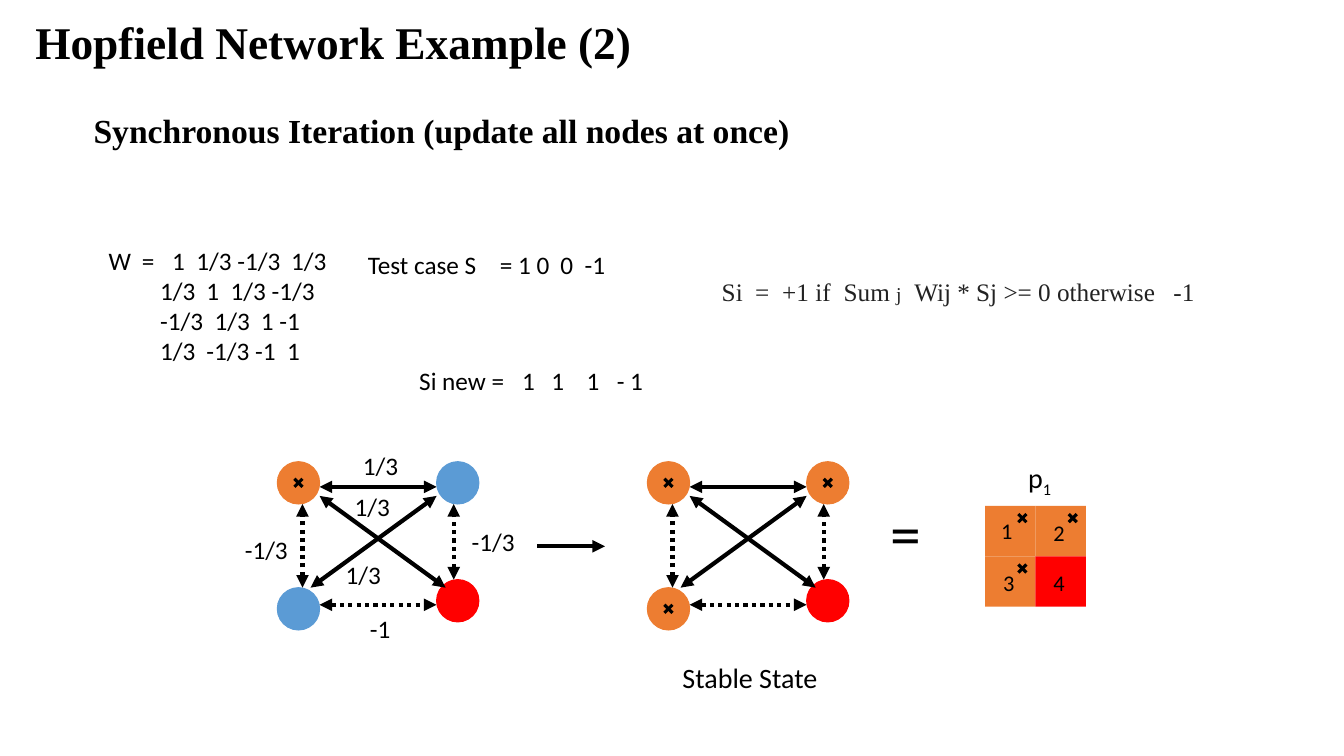
import pptx
import pptx.dml.color
import pptx.enum.dml
import pptx.enum.shapes
import pptx.enum.text
import pptx.oxml
import pptx.oxml.ns
import pptx.util
from pptx.util import Inches

COLORS = {"black": "000000", "formula": "222222", "orange": "ED7D31",
          "blue": "5B9BD5", "red": "FF0000"}
SERIF = "Times New Roman"
SANS = "Calibri"

TITLE = "Hopfield Network Example (2)"
SUBTITLE = "Synchronous Iteration (update all nodes at once)"

# Each tabbed line: text and the tab stops (inches) of its columns
WEIGHTS = [
    ("W\t=\t1\t1/3 -1/3\t1/3", [0.33, 0.63, 0.87, 1.81]),
    ("\t1/3\t1\t1/3 -1/3", [0.51, 0.97, 1.21]),
    ("\t-1/3\t1/3\t1 -1", [0.51, 1.05, 1.51]),
    ("\t1/3\t-1/3 -1\t1", [0.51, 0.97, 1.77]),
]
TEST_CASE = [("Test case S\t= 1 0\t0\t-1", [1.31, 1.91, 2.15])]
NEW_STATE = [("Si new =\t1\t1\t1\t- 1", [1.02, 1.31, 1.66, 1.96])]
UPDATE_RULE = [([("Si\t=\t+1 if\tSum ", {}), ("j", {"size": 14}),
                 ("\tWij * Sj >= 0 otherwise\t-1", {})],
                [0.33, 0.6, 1.21, 1.91, 4.48])]

# Offsets from the top left corner of a network
NODES = [(0, 0), (0, 1.25), (1.58, 1.17), (1.58, 0)]
EDGES = [  # start, end, dotted
    ((0.33, 1.25), (1.58, 0.34), False),
    ((0.42, 0.25), (1.58, 0.25), False),
    ((0.25, 1.25), (0.25, 0.42), True),
    ((0.42, 0.34), (1.67, 1.25), False),
    ((0.42, 1.42), (1.58, 1.42), True),
    ((1.75, 1.17), (1.75, 0.42), True),
]
NETWORK_TOP = 4.58
NETWORKS = [  # left, colours in the order of NODES
    (6.42, ["orange", "orange", "red", "orange"]),
    (2.75, ["orange", "blue", "red", "blue"]),
]
EDGE_LABELS = [("-1", 3.57, 6.04, 0.41), ("-1/3", 2.33, 5.25, 0.63),
               ("1/3", 3.33, 5.5, 0.56), ("1/3", 3.42, 4.83, 0.56),
               ("-1/3", 4.58, 5.17, 0.63), ("1/3", 3.5, 4.42, 0.56)]
NODE_SIZE = 0.42
CROSS_SIZE = 0.08

PATTERN_LEFT, PATTERN_TOP, CELL = 9.77, 5.02, 0.5
PATTERN = [("1", "orange", 0.06, 0.06), ("2", "orange", 0.08, 0.08),
           ("3", "orange", 0.08, 0.08), ("4", "red", 0.08, 0.08)]

presentation = pptx.Presentation()
presentation.slide_width = Inches(13.33)
presentation.slide_height = Inches(7.5)
slide = presentation.slides.add_slide(presentation.slide_layouts[5])


def rgb(name):
    return pptx.dml.color.RGBColor.from_string(COLORS[name])


def set_tabs(paragraph, stops):
    tabs = "".join(f'<a:tab pos="{Inches(stop)}" algn="l"/>' for stop in stops)
    namespace = pptx.oxml.ns.nsdecls("a")
    properties = paragraph._p.get_or_add_pPr()
    properties.append(pptx.oxml.parse_xml(f"<a:tabLst {namespace}>{tabs}</a:tabLst>"))


def write(frame, lines, size=18, font=SANS, color="black", bold=False, spacing=None):
    """Fill a frame with (text or runs, tab stops) lines."""
    for index, (content, stops) in enumerate(lines):
        paragraph = frame.paragraphs[0] if index == 0 else frame.add_paragraph()
        paragraph.alignment = pptx.enum.text.PP_ALIGN.LEFT
        if spacing:
            paragraph.line_spacing = spacing
        if stops:
            set_tabs(paragraph, stops)
        runs = [(content, {})] if isinstance(content, str) else content
        for text, changes in runs:
            run = paragraph.add_run()
            run.text = text
            run.font.size = pptx.util.Pt(changes.get("size", size))
            run.font.name = font
            run.font.bold = bold
            run.font.color.rgb = rgb(color)
            if "baseline" in changes:
                run._r.get_or_add_rPr().set("baseline", str(changes["baseline"]))


def add_text(content, left, top, width, height=0.4, wrap=False, **style):
    box = slide.shapes.add_textbox(Inches(left), Inches(top), Inches(width), Inches(height))
    box.text_frame.word_wrap = wrap
    lines = [(content, [])] if isinstance(content, str) else content
    write(box.text_frame, lines, **style)


def add_filled(kind, left, top, size, color, outlined=False):
    shape = slide.shapes.add_shape(kind, Inches(left), Inches(top), Inches(size), Inches(size))
    shape.shadow.inherit = False
    shape.fill.solid()
    shape.fill.fore_color.rgb = rgb(color)
    if outlined:
        shape.line.color.rgb = rgb(color)
        shape.line.width = pptx.util.Pt(0.75)
    else:
        shape.line.fill.background()


def add_line(start, end, width=3, dotted=False, arrows=()):
    """Draw a line; arrows holds headEnd (start) and tailEnd (end)."""
    line = slide.shapes.add_connector(
        pptx.enum.shapes.MSO_CONNECTOR.STRAIGHT,
        *(Inches(value) for value in (*start, *end)))
    line.line.color.rgb = rgb("black")
    line.line.width = pptx.util.Pt(width)
    if dotted:
        line.line.dash_style = pptx.enum.dml.MSO_LINE.ROUND_DOT
    namespace = pptx.oxml.ns.nsdecls("a")
    outline = line.line._get_or_add_ln()
    for arrow in arrows:
        outline.append(pptx.oxml.parse_xml(f'<a:{arrow} {namespace} type="triangle"/>'))
    line._element.spPr.append(pptx.oxml.parse_xml(f"<a:effectLst {namespace}/>"))


def add_cross(left, top):
    right, bottom = left + CROSS_SIZE, top + CROSS_SIZE
    add_line((left, top), (right, bottom), width=2.25)
    add_line((right, top), (left, bottom), width=2.25)


def add_network(left, colors):
    for (x, y), color in zip(NODES, colors):
        add_filled(pptx.enum.shapes.MSO_SHAPE.OVAL, left + x, NETWORK_TOP + y,
                   NODE_SIZE, color, outlined=True)
    for (x1, y1), (x2, y2), dotted in EDGES:
        add_line((left + x1, NETWORK_TOP + y1), (left + x2, NETWORK_TOP + y2),
                 dotted=dotted, arrows=("headEnd", "tailEnd"))
    for (x, y), color in zip(NODES, colors):
        if color == "orange":
            inset = (NODE_SIZE - CROSS_SIZE) / 2
            add_cross(left + x + inset, NETWORK_TOP + y + inset)


def add_pattern():
    corners = [(PATTERN_LEFT + index % 2 * CELL, PATTERN_TOP + index // 2 * CELL)
               for index in range(len(PATTERN))]
    for (left, top), (number, color, label_x, label_y) in zip(corners, PATTERN):
        add_filled(pptx.enum.shapes.MSO_SHAPE.RECTANGLE, left, top, CELL, color)
        add_text(number, left + label_x, top + label_y, 0.32, 0.37, size=16)
        if color == "orange":
            add_cross(left + 0.33, top + 0.08)


title = slide.shapes.title
title.left, title.top = Inches(0.25), Inches(0.19)
title.width, title.height = Inches(8.5), Inches(0.5)
title.text_frame.auto_size = pptx.enum.text.MSO_AUTO_SIZE.NONE
title.text_frame.vertical_anchor = pptx.enum.text.MSO_ANCHOR.MIDDLE
write(title.text_frame, [(TITLE, [])], size=32.4, font=SERIF, bold=True, spacing=0.9)
add_text(SUBTITLE, 0.83, 1.04, 7.17, 0.5, size=24, font=SERIF, bold=True)

add_text(WEIGHTS, 0.98, 2.38, 2.4, 1.3, wrap=True)
add_text(TEST_CASE, 3.55, 2.42, 2.6, wrap=True)
add_text(NEW_STATE, 4.06, 3.58, 2.5, wrap=True)
add_text(UPDATE_RULE, 7.06, 2.67, 5.29, 0.43, wrap=True, font=SERIF,
         color="formula", spacing=1.07)

for network_left, node_colors in NETWORKS:
    add_network(network_left, node_colors)
for label, label_left, label_top, label_width in EDGE_LABELS:
    add_text(label, label_left, label_top, label_width)
add_line((5.33, 5.42), (6, 5.42), arrows=("tailEnd",))
add_text("Stable State", 6.67, 6.5, 1.56, 0.44, size=20)

add_text("=", 8.73, 4.86, 0.51, 0.84, size=44)
add_text([([("p", {}), ("1", {"baseline": -25000})], [])], 10.1, 4.52, 0.44, 0.44, size=20)
add_pattern()

presentation.save("out.pptx")
